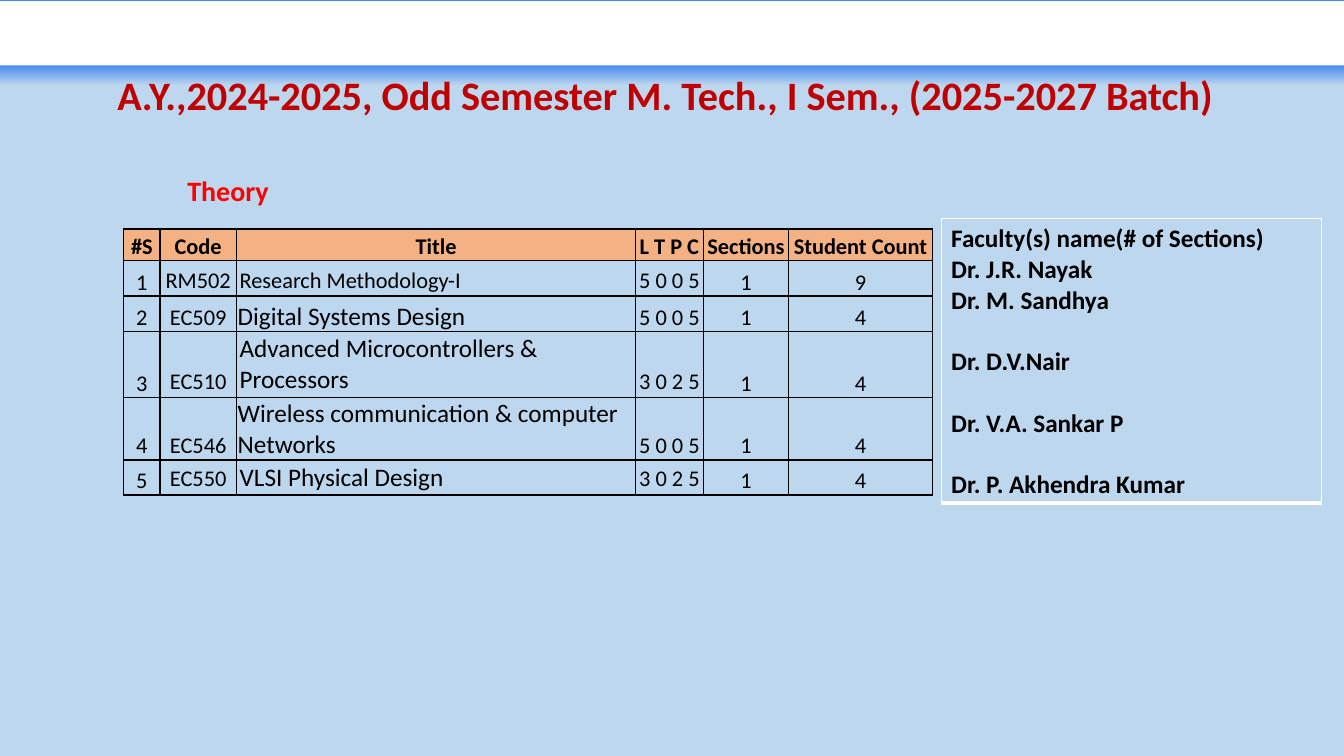
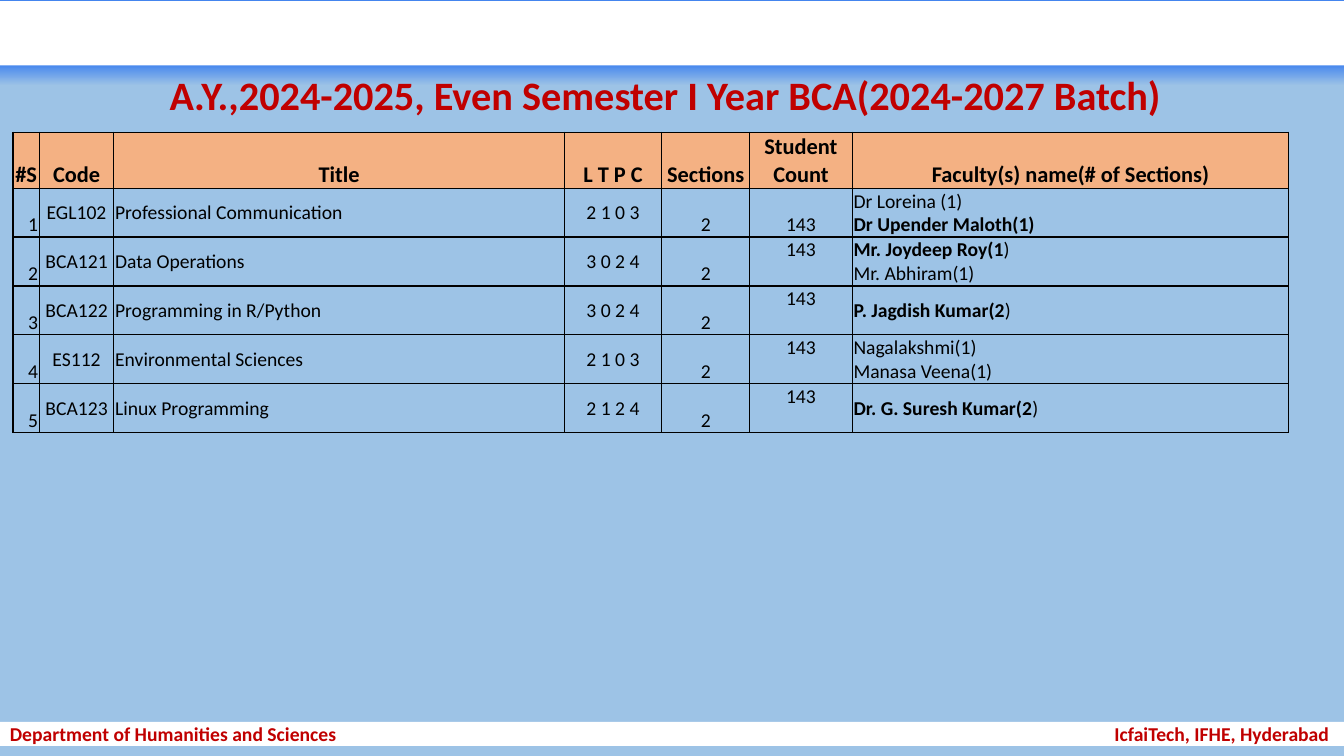
from lxml import etree
from pptx import Presentation
from pptx.dml.color import RGBColor
from pptx.enum.shapes import MSO_SHAPE
from pptx.enum.text import MSO_ANCHOR as Anchor, MSO_AUTO_SIZE as AutoSize, PP_ALIGN as Align
from pptx.oxml.ns import qn
from pptx.util import Cm, Pt

# Shared style
FONT = "Calibri"
WHITE = RGBColor(0xFF, 0xFF, 0xFF)
BLACK = RGBColor(0x00, 0x00, 0x00)
RED = RGBColor(0xFF, 0x00, 0x00)
DARK_RED = RGBColor(0xC0, 0x00, 0x00)
ORANGE = RGBColor(0xF4, 0xB1, 0x83)
BAND_BLUE = RGBColor(0x44, 0x85, 0xEE)
PALE_BLUE = RGBColor(0xBD, 0xD7, 0xEE)
MID_BLUE = RGBColor(0x9D, 0xC3, 0xE6)

SLIDE_WIDTH, SLIDE_HEIGHT = Cm(33.87), Cm(19.05)
TIGHT = (Cm(0.03), Cm(0.03), Cm(0.03), 0)  # left, top, right, bottom
LOOSE = (Cm(0.08), Cm(0.05), Cm(0.08), Cm(0.05))
NORMAL = (Cm(0.25), Cm(0.13), Cm(0.25), Cm(0.13))

# Content; a faculty line is a bold part followed by a plain part
HEADINGS = ["#S", "Code", "Title", "L T P C", "Sections", "Student Count"]
FACULTY_HEADING = "Faculty(s) name(# of Sections)"
MTECH_COURSES = [
    ("RM502", "Research Methodology-I", "5 0 0 5", "1", "9"),
    ("EC509", "Digital Systems Design", "5 0 0 5", "1", "4"),
    ("EC510", "Advanced Microcontrollers & Processors", "3 0 2 5", "1", "4"),
    ("EC546", "Wireless communication & computer Networks", "5 0 0 5", "1", "4"),
    ("EC550", "VLSI Physical Design", "3 0 2 5", "1", "4"),
]
MTECH_FACULTY = ["Dr. J.R. Nayak", "Dr. M. Sandhya", "Dr. D.V.Nair",
                 "Dr. V.A. Sankar P", "Dr. P. Akhendra Kumar"]
BCA_COURSES = [
    ("EGL102", "Professional Communication", "2 1 0 3",
     [("", "Dr Loreina (1)"), ("Dr Upender Maloth(1)", "")]),
    ("BCA121", "Data Operations", "3 0 2 4",
     [("Mr. Joydeep Roy(1", ")"), ("", "Mr. Abhiram(1)")]),
    ("BCA122", "Programming in R/Python", "3 0 2 4", [("P. Jagdish Kumar(2", ")")]),
    ("ES112", "Environmental Sciences", "2 1 0 3",
     [("", "Nagalakshmi(1)"), ("", "Manasa Veena(1)")]),
    ("BCA123", "Linux Programming", "2 1 2 4", [("Dr. G. Suresh Kumar(2", ")")]),
]


def style_font(font, size, color, bold):
    font.name = FONT
    font.size = Pt(size)
    font.color.rgb = color
    font.bold = bold


def add_bar(slide, top, height):
    bar = slide.shapes.add_shape(MSO_SHAPE.RECTANGLE, 0, top, SLIDE_WIDTH, height)
    bar.shadow.inherit = False
    bar.line.fill.background()
    bar.fill.solid()
    bar.fill.fore_color.rgb = WHITE
    return bar


def add_header(slide, background):
    """White bar on a blue band that fades into the background."""
    band = add_bar(slide, 0, Cm(2.16))
    band.fill.gradient()
    band.fill.gradient_angle = 270
    start, end = band.fill.gradient_stops
    start.position, start.color.rgb = 0.75, BAND_BLUE
    end.position, end.color.rgb = 1, background
    add_bar(slide, Cm(0.03), Cm(1.62))


def add_titled_slide(presentation, title_text, background):
    slide = presentation.slides.add_slide(presentation.slide_layouts[5])
    slide.background.fill.solid()
    slide.background.fill.fore_color.rgb = background
    add_header(slide, background)

    title = slide.shapes.title
    title.left, title.top, title.width, title.height = Cm(0.1), Cm(1.78), Cm(33.35), Cm(1.37)
    frame = title.text_frame
    frame.text = title_text
    frame.auto_size = AutoSize.NONE
    frame.vertical_anchor = Anchor.MIDDLE
    paragraph = frame.paragraphs[0]
    paragraph.alignment = Align.CENTER
    paragraph.line_spacing = 0.9
    style_font(paragraph.runs[0].font, 28.8, DARK_RED, True)
    title.element.getparent().append(title.element)  # in front of the band
    return slide


def add_label(slide, text):
    frame = slide.shapes.add_textbox(Cm(4.47), Cm(4.24), Cm(2.6), Cm(1.12)).text_frame
    frame.word_wrap = False
    frame.text = text
    style_font(frame.paragraphs[0].runs[0].font, 20, RED, True)


def add_footer(slide, left_text, right_text):
    frame = add_bar(slide, Cm(18.19), Cm(0.61)).text_frame
    frame.margin_top = frame.margin_bottom = 0
    frame.vertical_anchor = Anchor.MIDDLE
    frame.text = f"{left_text}\t{right_text}"
    paragraph = frame.paragraphs[0]
    paragraph.alignment = Align.LEFT
    tabs = etree.SubElement(paragraph._p.get_or_add_pPr(), qn("a:tabLst"))
    etree.SubElement(tabs, qn("a:tab"), pos=str(Cm(33.25)), algn="r")
    for run in paragraph.runs:
        style_font(run.font, 14, DARK_RED, True)


def add_plain_table(slide, left, top, widths, heights):
    """Table without banding; sizes are in centimetres."""
    table = slide.shapes.add_table(
        len(heights), len(widths), Cm(left), Cm(top), Cm(sum(widths)), Cm(sum(heights))).table
    table.first_row = table.horz_banding = False
    for column, width in zip(table.columns, widths):
        column.width = Cm(width)
    for row, height in zip(table.rows, heights):
        row.height = Cm(height)
    return table


def set_borders(cell, color, bottom_width=1):
    properties = cell._tc.get_or_add_tcPr()
    for side, width in (("L", 1), ("R", 1), ("T", 1), ("B", bottom_width)):
        line = etree.SubElement(properties, qn(f"a:ln{side}"), w=str(Pt(width)))
        fill = etree.SubElement(line, qn("a:solidFill"))
        etree.SubElement(fill, qn("a:srgbClr"), val=str(color))


def fill_cell(cell, lines, size, align=Align.CENTER, anchor=Anchor.BOTTOM, margins=TIGHT,
              fill=None, border=BLACK, bottom_width=1):
    """Write lines, each a (bold, plain) pair, and format the cell."""
    set_borders(cell, border, bottom_width)
    if fill is None:
        cell.fill.background()
    else:
        cell.fill.solid()
        cell.fill.fore_color.rgb = fill
    cell.margin_left, cell.margin_top, cell.margin_right, cell.margin_bottom = margins
    cell.vertical_anchor = anchor
    frame = cell.text_frame
    for index, parts in enumerate(lines):
        paragraph = frame.add_paragraph() if index else frame.paragraphs[0]
        paragraph.alignment = align
        for text, bold in zip(parts, (True, False)):
            if text:
                run = paragraph.add_run()
                run.text = text
                style_font(run.font, size, BLACK, bold)


def fill_header(table, headings):
    for column, heading in enumerate(headings):
        fill_cell(table.cell(0, column), [(heading, "")], 16, fill=ORANGE)


def add_mtech_table(slide):
    table = add_plain_table(slide, 3.12, 5.77, [0.91, 1.93, 10.06, 1.7, 2.16, 3.61],
                            [0.79, 0.9, 0.9, 1.65, 1.58, 0.88])
    fill_header(table, HEADINGS)
    for number, course in enumerate(MTECH_COURSES, start=1):
        for column, text in enumerate((str(number), *course)):
            is_title = column == 2
            loose = number % 2 == 1 and column in (1, 2, 3)
            fill_cell(table.cell(number, column), [("", text)],
                      18 if is_title and number > 1 else 16,
                      align=Align.LEFT if is_title else Align.CENTER,
                      margins=LOOSE if loose else TIGHT)


def add_mtech_faculty(slide):
    table = add_plain_table(slide, 23.72, 5.51, [9.58], [7.1])
    cell = table.cell(0, 0)
    lines = [(text, "") for text in (FACULTY_HEADING, *MTECH_FACULTY)]
    fill_cell(cell, lines, 18, align=Align.LEFT, anchor=Anchor.TOP, margins=NORMAL,
              border=WHITE, bottom_width=3)
    for paragraph in cell.text_frame.paragraphs[3:]:
        paragraph.space_before = Pt(22)


def add_bca_table(slide):
    table = add_plain_table(slide, 0.33, 3.33, [0.66, 1.88, 11.35, 2.46, 2.21, 2.59, 11],
                            [1.41] + [1.23] * 5)
    fill_header(table, HEADINGS + [FACULTY_HEADING])
    aligns = [Align.RIGHT, Align.CENTER, Align.LEFT, Align.CENTER,
              Align.CENTER, Align.CENTER, Align.LEFT]
    for number, (code, name, credits, faculty) in enumerate(BCA_COURSES, start=1):
        texts = (str(number), code, name, credits, "2", "143")
        contents = [[("", text)] for text in texts] + [faculty]
        count_anchor = Anchor.BOTTOM if number == 1 else Anchor.TOP
        anchors = [Anchor.BOTTOM, Anchor.MIDDLE, Anchor.MIDDLE, Anchor.MIDDLE,
                   Anchor.BOTTOM, count_anchor, Anchor.MIDDLE]
        for column, (lines, align, anchor) in enumerate(zip(contents, aligns, anchors)):
            fill_cell(table.cell(number, column), lines, 14, align, anchor)


def main():
    presentation = Presentation()
    presentation.slide_width, presentation.slide_height = SLIDE_WIDTH, SLIDE_HEIGHT

    # M. Tech. courses
    slide = add_titled_slide(
        presentation, "A.Y.,2024-2025, Odd Semester M. Tech., I Sem., (2025-2027 Batch)", PALE_BLUE)
    add_mtech_table(slide)
    add_label(slide, "Theory")
    add_mtech_faculty(slide)

    # BCA courses
    slide = add_titled_slide(
        presentation, "A.Y.,2024-2025, Even Semester I Year BCA(2024-2027 Batch)", MID_BLUE)
    add_bca_table(slide)
    add_footer(slide, "Department of Humanities and Sciences", "IcfaiTech, IFHE, Hyderabad")

    presentation.save("out.pptx")


if __name__ == "__main__":
    main()
